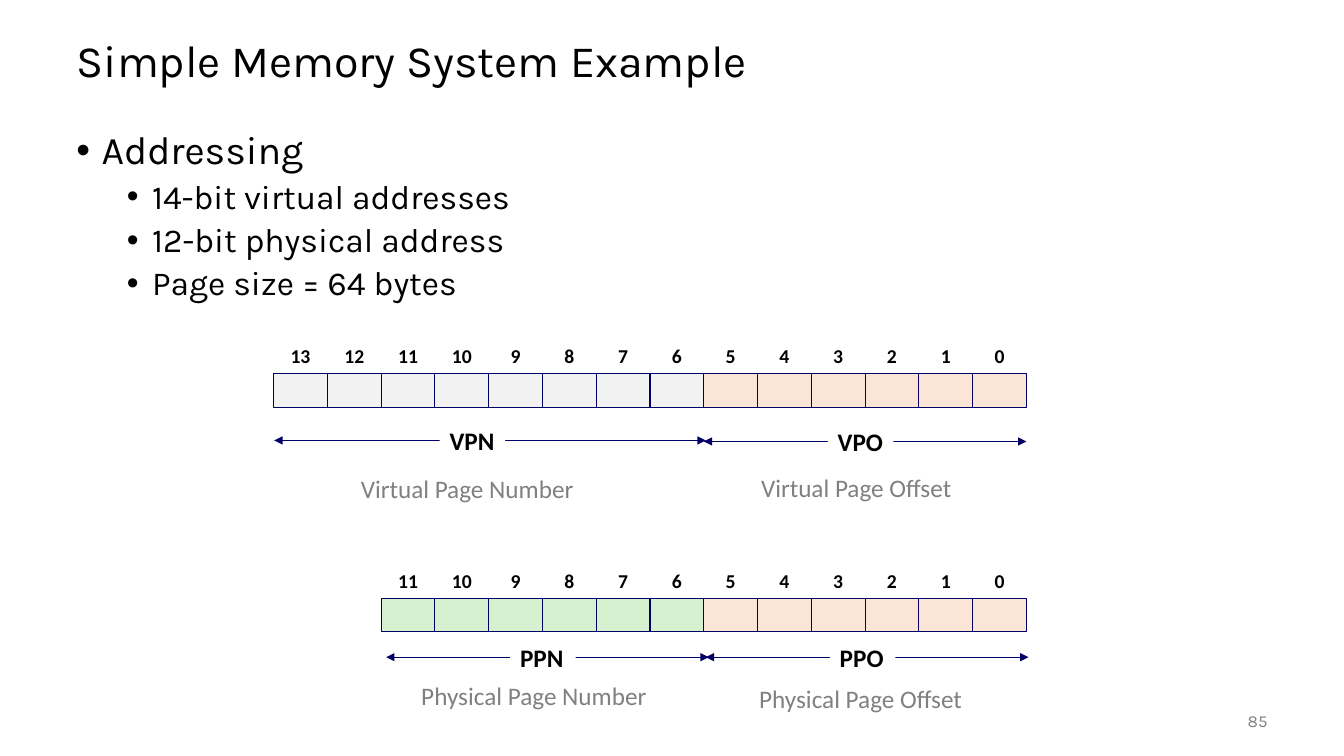
from lxml.etree import SubElement
from pptx import Presentation
from pptx.dml.color import RGBColor
from pptx.enum.shapes import MSO_CONNECTOR as CONN, MSO_SHAPE as SHAPE
from pptx.enum.text import MSO_ANCHOR as ANCHOR, MSO_AUTO_SIZE as AUTO, PP_ALIGN as ALIGN
from pptx.oxml.ns import qn
from pptx.util import Inches, Pt

COLORS = {
    "text": "000000",
    "caption": "808080",
    "line": "000066",
    "paper": "FFFFFF",
    "virtual": "F2F2F2",
    "physical": "D5F1CF",
    "offset": "FBE5D6",
}
BIT_W = 1.6 / 3
BIT_H = 0.33
OFFSET_BITS = 6
RIGHT = 10.18  # right edge shared by both addresses


def color(name):
    return RGBColor.from_string(COLORS[name])


def add_run(p, text, size, font="Calibri", fill="text", bold=False):
    r = p.add_run()
    r.text = text
    r.font.size = Pt(size)
    r.font.name = font
    r.font.bold = bold
    r.font.color.rgb = color(fill)


def add_text(shapes, box, text, size, align=ALIGN.LEFT, anchor=ANCHOR.TOP, spacing=0.88, **style):
    sp = shapes.add_textbox(*map(Inches, box))
    tf = sp.text_frame
    tf.word_wrap = False
    tf.vertical_anchor = anchor
    p = tf.paragraphs[0]
    p.alignment = align
    p.line_spacing = spacing
    add_run(p, text, size, **style)
    return sp


def add_title(slide, box, text):
    sp = slide.shapes.title
    sp.left, sp.top, sp.width, sp.height = map(Inches, box)
    tf = sp.text_frame
    tf.auto_size = AUTO.NONE
    tf.vertical_anchor = ANCHOR.MIDDLE
    p = tf.paragraphs[0]
    p.alignment = ALIGN.LEFT
    p.line_spacing = 0.9
    add_run(p, text, 32, "Karla")


def add_bullets(slide, box, items):
    tf = slide.shapes.add_textbox(*map(Inches, box)).text_frame
    tf.word_wrap = True
    for i, (level, text) in enumerate(items):
        p = tf.add_paragraph() if i else tf.paragraphs[0]
        p.level = level
        p.line_spacing = 0.9
        p.space_before = Pt(5 if i else 0)
        pPr = p._p.get_or_add_pPr()
        pPr.set("marL", str(Inches(0.25 + 0.5 * level)))
        pPr.set("indent", str(Inches(-0.25)))
        SubElement(pPr, qn("a:buFont")).set("typeface", "Arial")
        SubElement(pPr, qn("a:buChar")).set("char", "•")
        add_run(p, text, 28 - 4 * level, "Karla")


def add_address(slide, right, top, bits, page_fill):
    """Row of bit cells, numbered down to 0 at the right edge."""
    for bit in reversed(range(bits)):
        left = right - (bit + 1) * BIT_W
        sp = slide.shapes.add_shape(
            SHAPE.RECTANGLE, *map(Inches, (left, top + BIT_H, BIT_W, BIT_H)))
        sp.shadow.inherit = False
        sp.fill.solid()
        sp.fill.fore_color.rgb = color("offset" if bit < OFFSET_BITS else page_fill)
        sp.line.color.rgb = color("line")
        sp.line.width = Pt(0.75)
        add_text(slide.shapes, (left, top, BIT_W, BIT_H), str(bit), 14,
                 ALIGN.CENTER, ANCHOR.MIDDLE, bold=True)


def add_span(slide, left, y, width, label):
    """Double-headed arrow with its label over the middle."""
    group = slide.shapes.add_group_shape()
    line = group.shapes.add_connector(
        CONN.STRAIGHT, *map(Inches, (left, y, left + width, y)))
    line.line.color.rgb = color("line")
    line.line.width = Pt(0.75)
    ln = line.line._get_or_add_ln()
    for end in ("a:headEnd", "a:tailEnd"):
        SubElement(ln, qn(end)).set("type", "triangle")
    SubElement(line._element.spPr, qn("a:effectLst"))

    label_w = 0.65
    # The label sits slightly left of the middle on the long span
    label_left = left + min((width - label_w) / 2, 1.64) if width > 4 \
        else left + 1.23
    sp = add_text(group.shapes, (label_left, y - 0.16, label_w, 0.36), label, 18, bold=True)
    sp.fill.solid()
    sp.fill.fore_color.rgb = color("paper")


def main():
    prs = Presentation()
    prs.slide_width, prs.slide_height = Inches(13.33), Inches(7.5)
    slide = prs.slides.add_slide(prs.slide_layouts[5])

    # Title and bullets
    add_title(slide, (0.66, 0.25, 12, 0.75), "Simple Memory System Example")
    add_bullets(slide, (0.66, 1.25, 12, 5.5), [
        (0, "Addressing"),
        (1, "14-bit virtual addresses"),
        (1, "12-bit physical address"),
        (1, "Page size = 64 bytes"),
    ])

    # Virtual and physical addresses
    add_address(slide, RIGHT, 3.38, 14, "virtual")
    add_address(slide, RIGHT, 5.61, 12, "physical")

    # Page number and offset spans
    for left, y, width, label in [
        (6.98, 4.38, 3.2, "VPO"),
        (7, 6.52, 3.2, "PPO"),
        (3.83, 6.52, 3.2, "PPN"),
        (2.72, 4.37, 4.28, "VPN"),
    ]:
        add_span(slide, left, y, width, label)

    # Captions
    for left, top, width, text, align in [
        (3.48, 4.69, 2.38, "Virtual Page Number", ALIGN.LEFT),
        (7.45, 4.68, 2.16, "Virtual Page Offset", ALIGN.LEFT),
        (4.08, 6.74, 2.5, "Physical Page Number", ALIGN.LEFT),
        (7.39, 6.77, 2.29, "Physical Page Offset", ALIGN.CENTER),
    ]:
        add_text(slide.shapes, (left, top, width, 0.36), text, 18, align, fill="caption")

    # Slide number
    add_text(slide.shapes, (11.67, 6.95, 1, 0.4), "85", 12, ALIGN.RIGHT,
             ANCHOR.MIDDLE, 1.0, font="Karla", fill="caption").text_frame.word_wrap = True

    prs.save("out.pptx")


if __name__ == "__main__":
    main()
